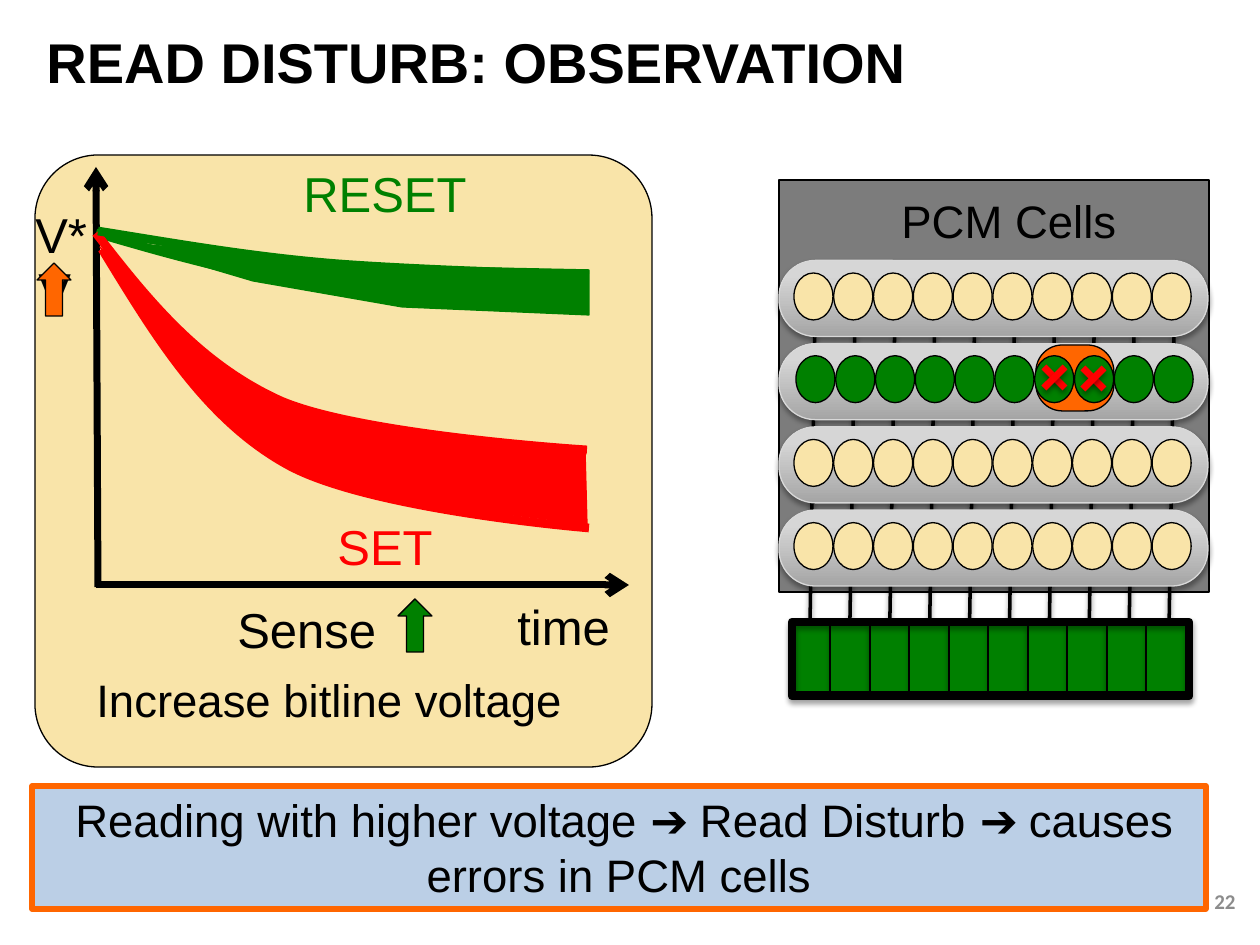
from lxml.etree import SubElement
from pptx import Presentation
from pptx.dml.color import RGBColor
from pptx.enum.shapes import MSO_CONNECTOR, MSO_SHAPE
from pptx.enum.text import MSO_ANCHOR, PP_ALIGN
from pptx.oxml.ns import qn
from pptx.util import Pt

HUE = {
    "black": "000000", "cream": "F9E4A9", "green": "008000", "red": "FF0000",
    "orange": "FF6600", "gray": "7C7C7C", "blue": "BBCFE6", "edge": "D8D8D8",
    "dark": "A5A5A5", "light": "D6D6D6", "page": "8C8C8C",
}
LABELS = [
    ("V*", (23, 198, 89, 73), 28, "black", True),
    ("time", (505, 590, 118, 73), 28, "black", False),
    ("SET", (325, 510, 121, 73), 28, "red", True),
    ("RESET", (291, 157, 189, 73), 28, "green", True),
    ("Sense", (225, 593, 188, 72), 28, "black", True),
    ("V", (26, 253, 89, 73), 28, "black", True),
    ("Increase bitline voltage", (84, 666, 495, 68), 26, "black", False),
]
CURVES = [
    ("green", [(96, 233), (170, 255), (243, 275), (325, 287), (407, 300), (587, 306), (587, 306)]),
    ("red", [(96, 233), (147, 299), (199, 364), (281, 401), (363, 436), (587, 450), (587, 450)]),
    ("red", [(102, 249), (154, 334), (204, 418), (286, 464), (367, 510), (589, 528), (589, 528)]),
    ("green", [(98, 231), (173, 243), (246, 256), (328, 263), (410, 270), (589, 275), (589, 275)]),
]
BANDS = [
    ("red", [(100, 247), (204, 399), (289, 467), (420, 504), (587, 524),
             (585, 447), (413, 436), (295, 408), (233, 374), (158, 309)]),
    ("green", [(108, 238), (253, 281), (402, 307), (589, 315),
               (589, 270), (344, 265), (268, 256), (117, 242)]),
]
AXES = [(98, 587, 96, 167), (96, 585, 629, 585)]
ARROWS = [("green", (398, 599, 34, 53)), ("orange", (37, 263, 34, 53))]
CROSSES = [(1044, 367), (1083, 368)]
BANNER = " Reading with higher voltage ➔ Read Disturb ➔ causes errors in PCM cells"
ROWS, COLS, READ = 4, 10, 1
SCALE = 914400 / 126

deck = Presentation()
deck.slide_width, deck.slide_height = round(1260 * SCALE), round(945 * SCALE)
slide = deck.slides.add_slide(deck.slide_layouts[6])
shapes = slide.shapes


def emu(vals):
    return [round(v * SCALE) for v in vals]


def rgb(name):
    return RGBColor.from_string(HUE[name])


def shade(shape, alpha):
    props = shape.element.spPr
    fx = props.find(qn("a:effectLst"))
    drop = SubElement(fx, qn("a:outerShdw"), blurRad="39370", dist="22860",
                      dir="5400000", rotWithShape="0")
    tone = SubElement(drop, qn("a:srgbClr"), val=HUE["black"])
    SubElement(tone, qn("a:alpha"), val=str(alpha * 1000))


def style(shape, fill, line="black", width=0.75):
    shape.shadow.inherit = False
    if fill:
        shape.fill.solid()
        shape.fill.fore_color.rgb = rgb(fill)
    else:
        shape.fill.background()
    shape.line.color.rgb = rgb(line)
    shape.line.width = Pt(width)
    return shape


def block(kind, box, fill, line="black", width=0.75, adj=None):
    shape = shapes.add_shape(kind, *emu(box))
    if adj is not None:
        shape.adjustments[0] = adj
    return style(shape, fill, line, width)


def write(shape, text, size, color="black", font="Arial", bold=False,
          wrap=True, align=PP_ALIGN.LEFT, anchor=MSO_ANCHOR.TOP):
    frame = shape.text_frame
    frame.word_wrap = wrap
    frame.vertical_anchor = anchor
    para = frame.paragraphs[0]
    para.text = text
    para.alignment = align
    para.font.size, para.font.name, para.font.bold = Pt(size), font, bold
    para.font.color.rgb = rgb(color)


def label(text, box, size, color="black", wrap=True, **more):
    write(shapes.add_textbox(*emu(box)), text, size, color, wrap=wrap, **more)


def wire(ends, color, width, head=False, dim=False):
    line = shapes.add_connector(MSO_CONNECTOR.STRAIGHT, *emu(ends))
    line.line.color.rgb = rgb(color)
    line.line.width = Pt(width)
    props = line.element.spPr
    if head:
        SubElement(props.find(qn("a:ln")), qn("a:tailEnd"), type="arrow")
    SubElement(props, qn("a:effectLst"))
    if dim:
        shade(line, 38)


def outline(points, closed):
    first, *rest = [emu(p) for p in points]
    build = shapes.build_freeform(*first)
    build.add_line_segments(rest, close=closed)
    return build.convert_to_shape()


def curve(knots):
    shape = outline(knots, False)
    route = next(shape.element.spPr.iter(qn("a:path")))
    legs = route.findall(qn("a:lnTo"))
    for k in range(0, len(legs), 3):
        bend = SubElement(route, qn("a:cubicBezTo"))
        for leg in legs[k:k + 3]:
            bend.append(leg[0])
            route.remove(leg)
    return shape


def cells(left, top, fill):
    for col in range(COLS):
        block(MSO_SHAPE.OVAL, (left + 39.8 * col, top, 39, 47), fill)


label("READ DISTURB: OBSERVATION", (34, 28, 1202, 67), 32, bold=True,
      anchor=MSO_ANCHOR.MIDDLE)
label("22", (954, 876, 294, 50), 12, "page", font="Calibri", bold=True,
      align=PP_ALIGN.RIGHT, anchor=MSO_ANCHOR.MIDDLE)

block(MSO_SHAPE.ROUNDED_RECTANGLE, (35, 155, 617, 612), "cream", adj=0.103)
for axis in AXES:
    wire(axis, "black", 4, head=True)
for color, knots in CURVES:
    style(curve(knots), None, color, 5)
for color, points in BANDS:
    style(outline(points, True), color, color)
for item in LABELS:
    label(*item)
for color, box in ARROWS:
    block(MSO_SHAPE.UP_ARROW, box, color)

block(MSO_SHAPE.RECTANGLE, (779, 180, 430, 412), "gray")
label("PCM Cells", (889, 187, 242, 68), 26, wrap=False)
for col in range(COLS):
    x = 815 + 39.9 * col
    wire((x, 323, x - 5, 625), "black", 2, dim=True)
for row in range(ROWS):
    top = 260.5 + 83.2 * row
    bar = block(MSO_SHAPE.ROUNDED_RECTANGLE, (779, top, 429, 76), None, "edge", adj=0.479)
    bar.fill.gradient()
    bar.fill.gradient_angle = 90
    for stop, (spot, tone) in zip(bar.fill.gradient_stops, [(0, "dark"), (0.8, "light")]):
        stop.position = spot
        stop.color.rgb = rgb(tone)
    shade(bar, 35)
    if row == READ:
        block(MSO_SHAPE.ROUNDED_RECTANGLE, (1036, 345, 78, 66), "orange", adj=0.401)
        cells(796, top + 12, "green")
    else:
        cells(794, top + 12.5, "cream")
for col in range(COLS):
    shade(block(MSO_SHAPE.RECTANGLE, (791 + 39.5 * col, 625, 39, 67), "green"), 35)

note = block(MSO_SHAPE.RECTANGLE, (32, 786, 1174, 123), "blue", "orange", 3)
write(note, BANNER, 26, align=PP_ALIGN.CENTER)
for x, y in CROSSES:
    wire((x, y, x + 21, y + 21), "red", 4, dim=True)
    wire((x + 21, y, x, y + 21), "red", 4, dim=True)
shade(block(MSO_SHAPE.RECTANGLE, (792, 622, 397, 74), None, width=5), 35)
deck.save("out.pptx")
